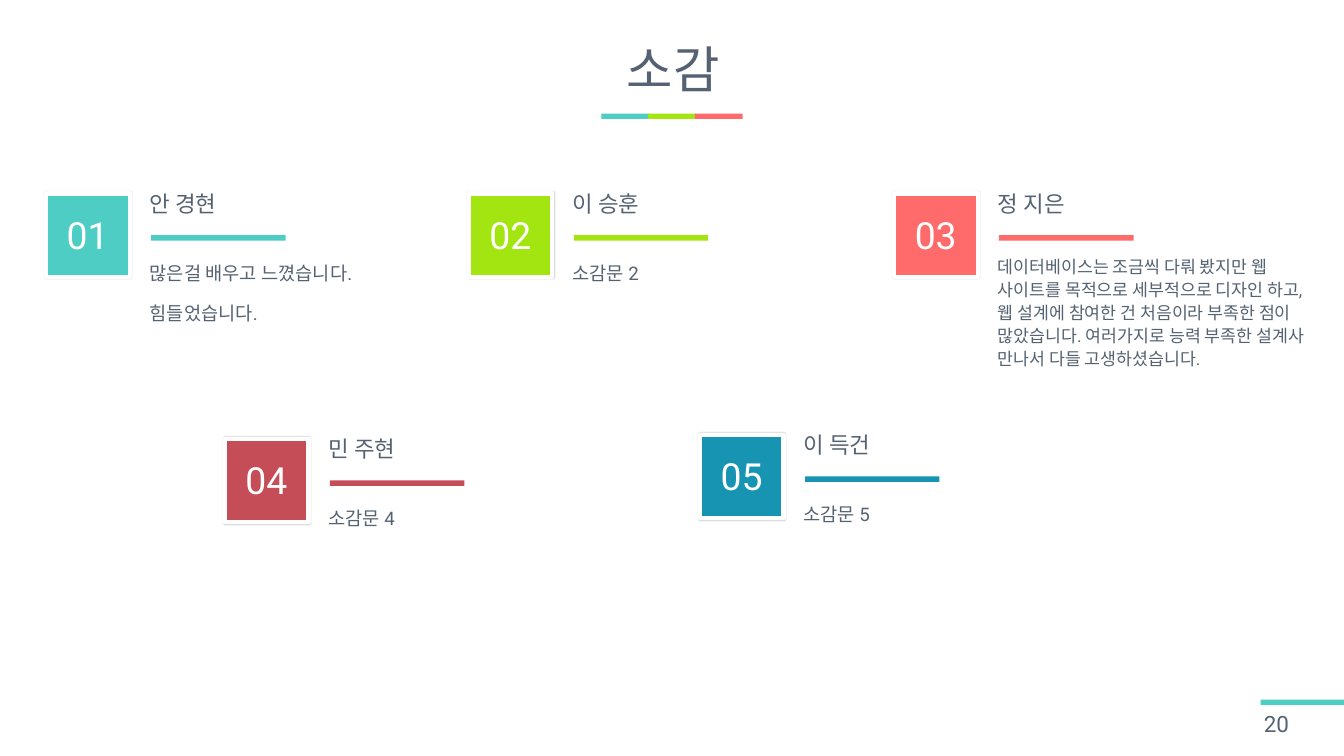
import pptx
import pptx.dml.color
import pptx.enum.shapes
import pptx.enum.text
import pptx.oxml
import pptx.oxml.ns
import pptx.util

Inches = pptx.util.Inches
Pt = pptx.util.Pt
ALIGN = pptx.enum.text.PP_ALIGN
ANCHOR = pptx.enum.text.MSO_ANCHOR

COLORS = {
    "teal": "4ECDC4",
    "lime": "A3E511",
    "coral": "FF6B6B",
    "red": "C54D57",
    "blue": "1694B2",
    "text": "556272",
    "white": "FFFFFF",
}
TITLE = "소감"
PAGE = "20"
CARDS = [
    {"name": "안 경현", "at": (0.69, 2.88), "color": "teal",
     "body": ["많은걸 배우고 느꼈습니다.", "힘들었습니다."]},
    {"name": "이 승훈", "at": (6.98, 2.88), "color": "lime", "body": ["소감문 2"]},
    {"name": "정 지은", "at": (13.31, 2.88), "color": "coral", "size": 18.5, "spacing": 1.1,
     "body": ["데이터베이스는 조금씩 다뤄 봤지만 웹 사이트를 목적으로 세부적으로 "
              "디자인 하고, 웹 설계에 참여한 건 처음이라 부족한 점이 많았습니다. "
              "여러가지로 능력 부족한 설계사 만나서 다들 고생하셨습니다."]},
    {"name": "민 주현", "at": (3.35, 6.53), "color": "red", "body": ["소감문 4"]},
    {"name": "이 득건", "at": (10.42, 6.47), "color": "blue", "body": ["소감문 5"]},
]
SHADOW = (
    '<a:effectLst %s><a:outerShdw blurRad="12700" dist="0" dir="0" algn="ctr" rotWithShape="0">'
    '<a:srgbClr val="000000"><a:alpha val="15000"/></a:srgbClr>'
    "</a:outerShdw></a:effectLst>" % pptx.oxml.ns.nsdecls("a")
)


def rgb(name):
    """Return the palette colour with this name."""
    return pptx.dml.color.RGBColor.from_string(COLORS[name])


def add_text(s, text, box=None, sp=None, size=24, color="text", align=None,
             anchor=ANCHOR.TOP, spacing=None, before=None, grow=False):
    """Write one or more paragraphs into a new text box or a given shape."""
    sp = sp or s.shapes.add_textbox(*map(Inches, box))
    tf = sp.text_frame
    tf.word_wrap = True
    tf.vertical_anchor = anchor
    auto = pptx.enum.text.MSO_AUTO_SIZE
    tf.auto_size = auto.SHAPE_TO_FIT_TEXT if grow else auto.NONE
    for i, line in enumerate([text] if isinstance(text, str) else text):
        p = tf.add_paragraph() if i else tf.paragraphs[0]
        p.alignment = align
        p.line_spacing = spacing
        if before is not None:
            p.space_before = Pt(before)
        r = p.add_run()
        r.text = line
        r.font.name = "Roboto"
        r.font.size = Pt(size)
        r.font.color.rgb = rgb(color)


def add_rect(s, box, color):
    """Add a flat rectangle without an outline."""
    sp = s.shapes.add_shape(pptx.enum.shapes.MSO_SHAPE.RECTANGLE, *map(Inches, box))
    sp.shadow.inherit = False
    sp.fill.solid()
    sp.fill.fore_color.rgb = rgb(color)
    sp.line.fill.background()
    return sp


def add_card(s, number, card):
    """Add a numbered square with a name, a rule and a comment."""
    x, y = card["at"]
    color = card["color"]
    add_rect(s, (x + 1.56, y + 0.62, 2, 0.08), color)
    sp = add_rect(s, (x, y, 1.24, 1.24), color)
    sp.line.color.rgb = rgb("white")
    sp.line.width = Pt(4.5)
    props = sp._element.spPr
    props.remove(props.find(pptx.oxml.ns.qn("a:effectLst")))
    props.append(pptx.oxml.parse_xml(SHADOW))
    add_text(s, f"{number:02d}", box=(x + 0.13, y + 0.23, 0.97, 0.77),
             size=40, color="white", align=ALIGN.CENTER, grow=True)
    add_text(s, card["body"], box=(x + 1.44, y + 0.86, 4.85, 2.25),
             size=card.get("size", 20), spacing=card.get("spacing", 1.3), before=12)
    add_text(s, card["name"], box=(x + 1.44, y - 0.22, 4.65, 0.82),
             spacing=1.3, before=12)


def main():
    """Build the slide and save it."""
    prs = pptx.Presentation()
    prs.slide_width, prs.slide_height = Inches(20), Inches(11.25)
    s = prs.slides.add_slide(prs.slide_layouts[5])

    for i, color in enumerate(("teal", "lime", "coral")):
        add_rect(s, (8.95 + 0.695 * i, 1.69, 0.71, 0.08), color)
    add_rect(s, (18.76, 10.41, 1.24, 0.08), "teal")

    title = s.shapes.title
    title.left, title.top, title.width, title.height = map(Inches, (0.54, 0.38, 18.96, 1.4))
    add_text(s, TITLE, sp=title, size=54, align=ALIGN.CENTER, anchor=ANCHOR.MIDDLE, spacing=0.9)
    add_text(s, PAGE, box=(18.71, 10.5, 1.29, 0.53), anchor=ANCHOR.MIDDLE)

    for number, card in enumerate(CARDS, 1):
        add_card(s, number, card)
    prs.save("out.pptx")


if __name__ == "__main__":
    main()
